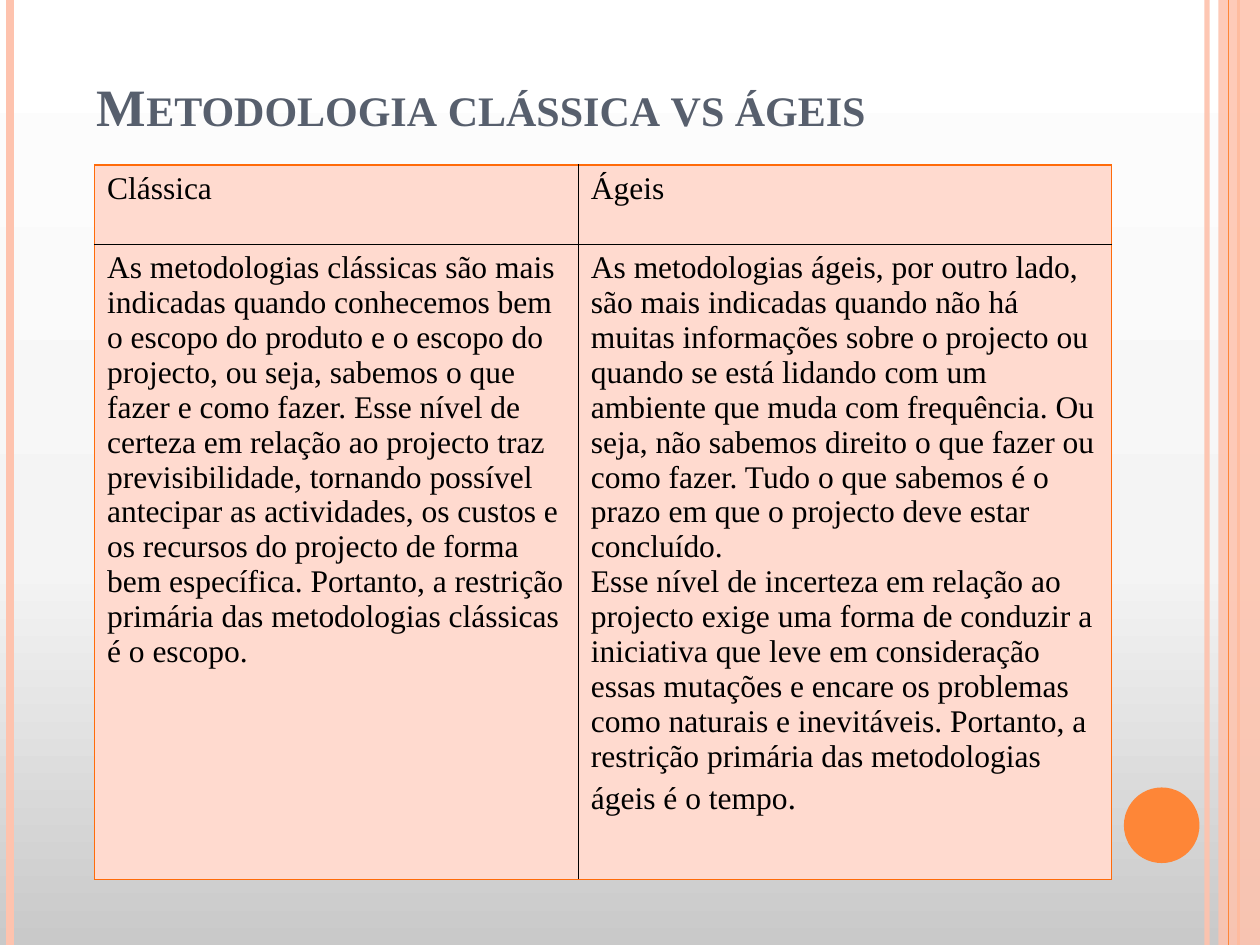
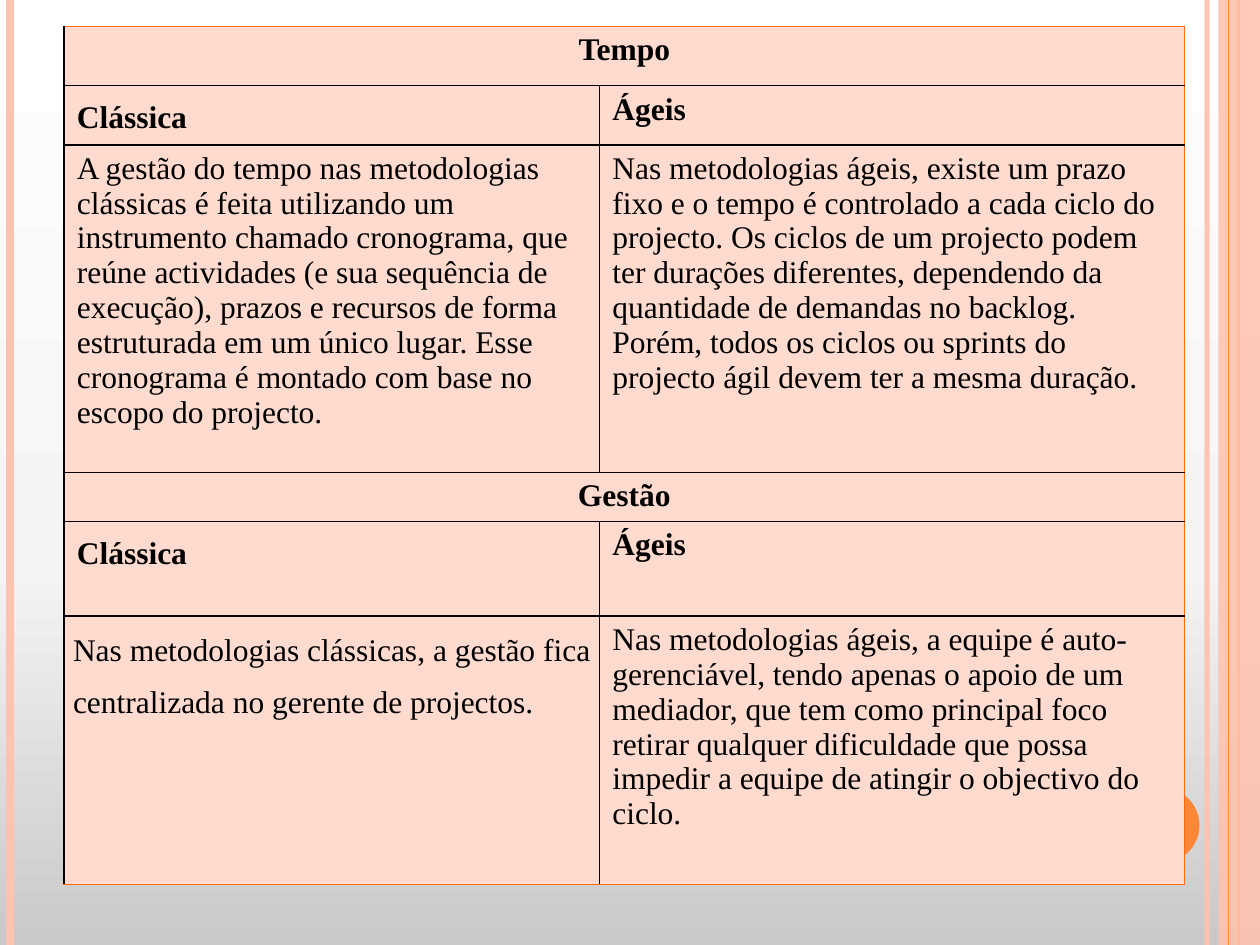
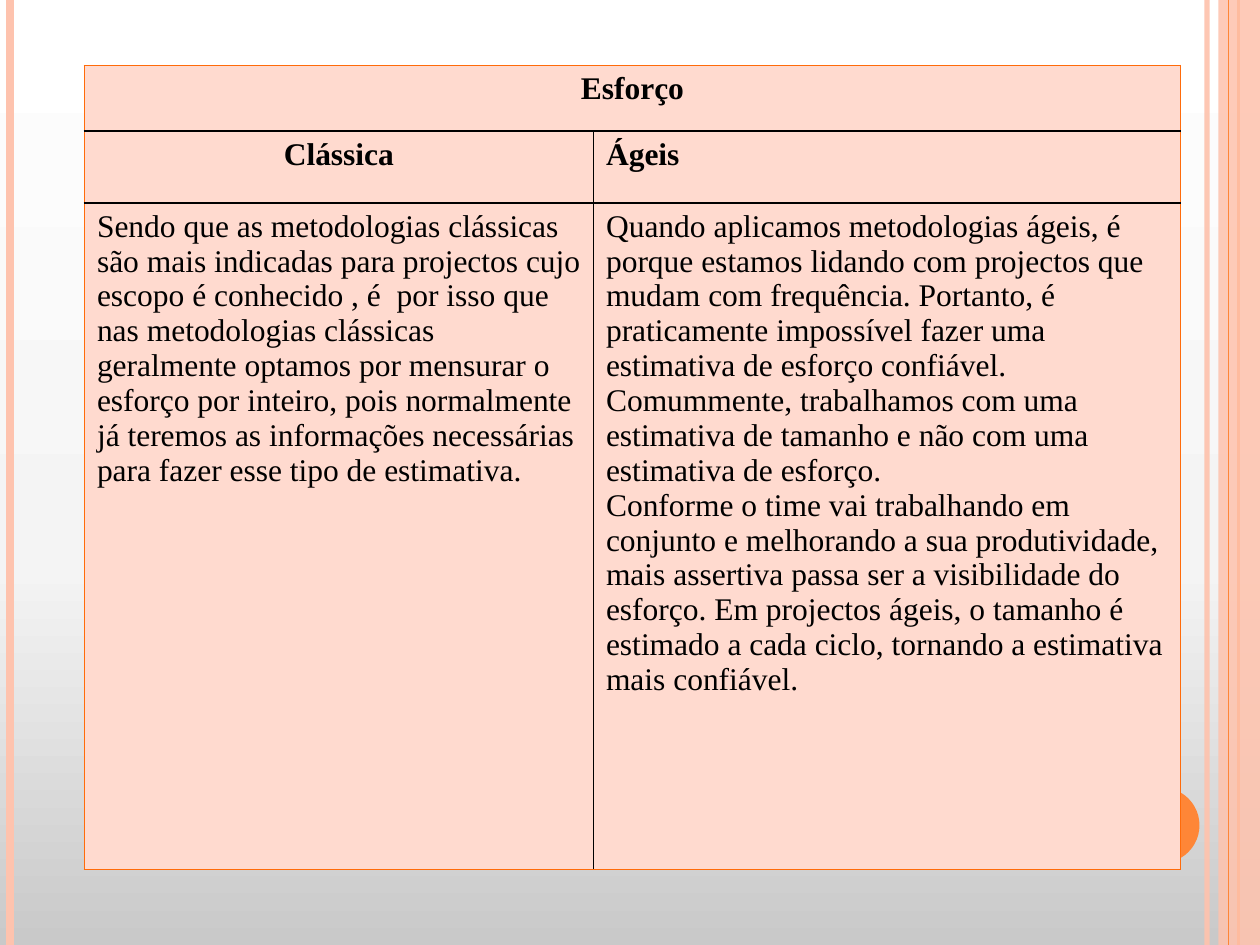
import copy
import dataclasses

import pptx
import pptx.dml.color
import pptx.enum.shapes
import pptx.enum.text
import pptx.oxml.ns
import pptx.util

RGB = pptx.dml.color.RGBColor
PEACH = RGB(0xFE, 0xC3, 0xAE)
ORANGE = RGB(0xFE, 0x86, 0x37)
EDGE = RGB(0xFF, 0x6B, 0x0A)
BLUSH = RGB(0xFF, 0xDA, 0xCF)
SLATE = RGB(0x57, 0x5F, 0x6D)
BLACK = RGB(0, 0, 0)
BACKDROP = [(0, RGB(0xC9, 0xC9, 0xC9)), (0.4, RGB(0xF4, 0xF4, 0xF4)), (1, RGB(0xFF, 0xFF, 0xFF))]

COLUMNS, ROWS = 100, 75
SERIF, SCHOLA = "Times New Roman", "TeX Gyre Schola"
PLAIN_TABLE = "{2D5ABB26-0587-4C30-8999-92F81FD0307C}"
SHAPES = pptx.enum.shapes.MSO_SHAPE
CENTER = pptx.enum.text.PP_ALIGN.CENTER
qn = pptx.oxml.ns.qn


def add_child(parent, tag, **attributes):
    child = parent.makeelement(qn(tag), attributes)
    parent.append(child)
    return child


def set_opacity(element, percent):
    color = next(element.iter(qn("a:srgbClr")))
    add_child(color, "a:alpha", val=str(percent * 1000))


@dataclasses.dataclass
class Cell:
    """Paragraphs of one table cell; closing is a last run in the second font."""
    paragraphs: tuple
    bold: bool = False
    align: object = None
    spacing: float = None
    after: float = 0
    insets: tuple = None
    closing: str = ""


def body(*paragraphs, **options):
    return Cell(paragraphs, **options)


def heading(text, **options):
    return Cell((text,), bold=True, **options)


class Deck:
    """Holds the shared style and the current slide, on a grid of 100 by 75."""

    def __init__(self):
        self.prs = pptx.Presentation()
        self.prs.slide_width = pptx.util.Inches(10)
        self.prs.slide_height = pptx.util.Inches(7.5)
        self.slide = None
        self.paint_backdrop()

    def x(self, columns):
        return round(self.prs.slide_width * columns / COLUMNS)

    def y(self, rows):
        return round(self.prs.slide_height * rows / ROWS)

    def box(self, left, top, width, height):
        return self.x(left), self.y(top), self.x(width), self.y(height)

    def paint_backdrop(self):
        master = self.prs.slide_master
        fill = master.background.fill
        fill.gradient()
        fill.gradient_angle = 90
        stops = next(master.element.iter(qn("a:gsLst")))
        stops.insert(1, copy.deepcopy(stops[0]))
        for stop, (position, color) in zip(fill.gradient_stops, BACKDROP):
            stop.position = position
            stop.color.rgb = color

    def new_slide(self):
        self.slide = self.prs.slides.add_slide(self.prs.slide_layouts[6])
        self.stripe(95.8, PEACH, 3, opacity=93)
        self.stripe(0.8, PEACH, 4.5)
        self.stripe(98.3, ORANGE, 1.5)
        self.shape(SHAPES.RECTANGLE, (96.7, 0, 3.3, ROWS), PEACH, opacity=87)
        self.stripe(97.5, ORANGE, 0.75)
        self.shape(SHAPES.OVAL, (89.2, 62.5, 6, 6), ORANGE)

    def stripe(self, column, color, weight, opacity=100):
        """Draw a vertical line over the whole height of the slide."""
        stripe = self.slide.shapes.add_connector(
            pptx.enum.shapes.MSO_CONNECTOR.STRAIGHT,
            self.x(column), 0, self.x(column), self.y(ROWS))
        stripe.line.color.rgb = color
        stripe.line.width = pptx.util.Pt(weight)
        properties = stripe._element.spPr
        if opacity < 100:
            set_opacity(properties, opacity)
        add_child(properties, "a:effectLst")

    def shape(self, kind, place, color, opacity=100):
        shape = self.slide.shapes.add_shape(kind, *self.box(*place))
        shape.shadow.inherit = False
        shape.fill.solid()
        shape.fill.fore_color.rgb = color
        shape.line.fill.background()
        if opacity < 100:
            set_opacity(shape._element.spPr, opacity)

    def run(self, paragraph, text, size=18, color=BLACK, bold=False, font=SERIF):
        run = paragraph.add_run()
        run.text = text
        run.font.name = font
        run.font.size = pptx.util.Pt(size)
        run.font.color.rgb = color
        run.font.bold = bold
        return run

    def title(self, text):
        frame = self.slide.shapes.add_textbox(*self.box(6.7, 1.3, 81.7, 10.1)).text_frame
        frame.word_wrap = True
        frame.vertical_anchor = pptx.enum.text.MSO_ANCHOR.BOTTOM
        run = self.run(frame.paragraphs[0], text, 30, SLATE, bold=True)
        run.font._element.set("cap", "small")

    def table(self, left, top, widths, heights, rows, left_edge=EDGE):
        """Fill a table; a row with a single cell spans all columns."""
        place = self.box(left, top, sum(widths), sum(heights))
        table = self.slide.shapes.add_table(len(heights), len(widths), *place).table
        table.first_row = table.horz_banding = False
        next(table._tbl.iter(qn("a:tableStyleId"))).text = PLAIN_TABLE
        for column, width in zip(table.columns, widths):
            column.width = self.x(width)
        for row, height in zip(table.rows, heights):
            row.height = self.y(height)
        last_row, last_column = len(heights) - 1, len(widths) - 1
        for r, row in enumerate(rows):
            if len(row) == 1:
                table.cell(r, 0).merge(table.cell(r, last_column))
            for c, content in enumerate(row):
                cell = table.cell(r, c)
                self.borders(
                    cell,
                    L=left_edge if c == 0 else BLACK,
                    R=EDGE if c == len(row) - 1 else BLACK,
                    T=EDGE if r == 0 else BLACK,
                    B=EDGE if r == last_row else BLACK)
                cell.fill.solid()
                cell.fill.fore_color.rgb = BLUSH
                self.cell_text(cell, content)

    def borders(self, cell, **sides):
        properties = cell._tc.get_or_add_tcPr()
        for side, color in sides.items():
            line = add_child(properties, "a:ln" + side, w=str(pptx.util.Pt(1)))
            add_child(add_child(line, "a:solidFill"), "a:srgbClr", val=str(color))

    def cell_text(self, cell, content):
        if content.insets:
            (cell.margin_left, cell.margin_top, cell.margin_right,
             cell.margin_bottom) = map(pptx.util.Inches, content.insets)
        frame = cell.text_frame
        for i, text in enumerate(content.paragraphs):
            paragraph = frame.add_paragraph() if i else frame.paragraphs[0]
            paragraph.alignment = content.align
            paragraph.line_spacing = content.spacing
            paragraph.space_after = pptx.util.Pt(content.after)
            self.run(paragraph, text, bold=content.bold)
        if content.closing:
            self.run(paragraph, content.closing, font=SCHOLA)


def main():
    deck = Deck()

    deck.new_slide()
    deck.title("Metodologia clássica vs ágeis")
    deck.table(7.5, 13.1, [38.4, 42.3], [6.3, 50.4], [
        [body("Clássica"), body("Ágeis")],
        [body("As metodologias clássicas são mais indicadas quando conhecemos bem o escopo do "
              "produto e o escopo do projecto, ou seja, sabemos o que fazer e como fazer. Esse "
              "nível de certeza em relação ao projecto traz previsibilidade, tornando possível "
              "antecipar as actividades, os custos e os recursos do projecto de forma bem "
              "específica. Portanto, a restrição primária das metodologias clássicas é o escopo."),
         body("As metodologias ágeis, por outro lado, são mais indicadas quando não há muitas "
              "informações sobre o projecto ou quando se está lidando com um ambiente que muda "
              "com frequência. Ou seja, não sabemos direito o que fazer ou como fazer. Tudo o "
              "que sabemos é o prazo em que o projecto deve estar concluído.",
              "Esse nível de incerteza em relação ao projecto exige uma forma de conduzir a "
              "iniciativa que leve em consideração essas mutações e encare os problemas como "
              "naturais e inevitáveis. Portanto, a restrição primária das metodologias ágeis é "
              "o tempo", closing=".")],
    ])

    deck.new_slide()
    sides = [heading("Clássica", spacing=1.25), heading("Ágeis")]
    deck.table(5.1, 2.1, [42.5, 46.4], [4.7, 4.7, 26, 3.9, 7.5, 21.3], [
        [heading("Tempo", align=CENTER)],
        sides,
        [body("A gestão do tempo nas metodologias clássicas é feita utilizando um instrumento "
              "chamado cronograma, que reúne actividades (e sua sequência de execução), prazos e "
              "recursos de forma estruturada em um único lugar. Esse cronograma é montado com "
              "base no escopo do projecto."),
         body("Nas metodologias ágeis, existe um prazo fixo e o tempo é controlado a cada ciclo "
              "do projecto. Os ciclos de um projecto podem ter durações diferentes, dependendo "
              "da quantidade de demandas no backlog. Porém, todos os ciclos ou sprints do "
              "projecto ágil devem ter a mesma duração.")],
        [heading("Gestão", align=CENTER)],
        sides,
        [body("Nas metodologias clássicas, a gestão fica centralizada no gerente de projectos.",
              spacing=1.5, after=10, insets=(0.07, 0, 0.07, 0)),
         body("Nas metodologias ágeis, a equipe é auto-gerenciável, tendo apenas o apoio de um "
              "mediador, que tem como principal foco retirar qualquer dificuldade que possa "
              "impedir a equipe de atingir o objectivo do ciclo.")],
    ], left_edge=BLACK)

    deck.new_slide()
    deck.table(6.7, 5.2, [40.4, 46.6], [5.2, 5.7, 52.9], [
        [heading("Esforço", align=CENTER)],
        [heading("Clássica", align=CENTER), heading("Ágeis")],
        [body("Sendo que as metodologias clássicas são mais indicadas para projectos cujo escopo "
              "é conhecido , é  por isso que nas metodologias clássicas geralmente optamos por "
              "mensurar o esforço por inteiro, pois normalmente já teremos as informações "
              "necessárias para fazer esse tipo de estimativa."),
         body("Quando aplicamos metodologias ágeis, é porque estamos lidando com projectos que "
              "mudam com frequência. Portanto, é praticamente impossível fazer uma estimativa de "
              "esforço confiável. Comummente, trabalhamos com uma estimativa de tamanho e não "
              "com uma estimativa de esforço.",
              "Conforme o time vai trabalhando em conjunto e melhorando a sua produtividade, "
              "mais assertiva passa ser a visibilidade do esforço. Em projectos ágeis, o tamanho "
              "é estimado a cada ciclo, tornando a estimativa mais confiável.")],
    ])

    deck.prs.save("out.pptx")


if __name__ == "__main__":
    main()
